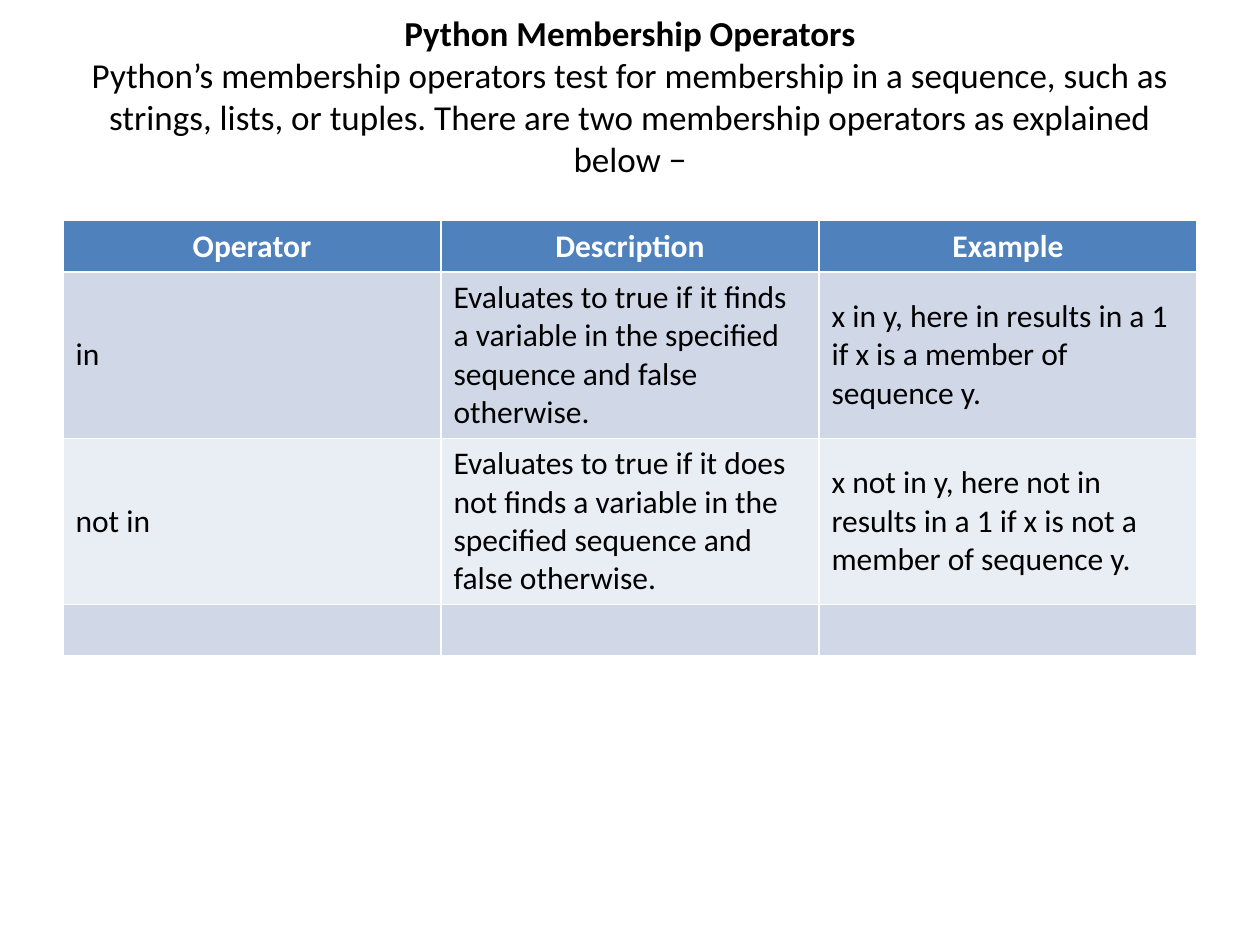
"""Build a slide that explains the Python membership operators in a table."""
import pptx
import pptx.dml.color
import pptx.enum.text
import pptx.util

Cm, Pt = pptx.util.Cm, pptx.util.Pt
RGBColor = pptx.dml.color.RGBColor
PP_ALIGN = pptx.enum.text.PP_ALIGN
MSO_ANCHOR = pptx.enum.text.MSO_ANCHOR

TITLE = "Python Membership Operators"
INTRO = (
    "Python’s membership operators test for membership in a sequence, such as "
    "strings, lists, or tuples. There are two membership operators as explained below −"
)
ROWS = [
    ("Operator", "Description", "Example"),
    (
        "in",
        "Evaluates to true if it finds a variable in the specified sequence and false otherwise.",
        "x in y, here in results in a 1 if x is a member of sequence y.",
    ),
    (
        "not in",
        "Evaluates to true if it does not finds a variable in the specified sequence "
        "and false otherwise.",
        "x not in y, here not in results in a 1 if x is not a member of sequence y.",
    ),
    ("", "", ""),
]

FONT = "Calibri"
BLACK = RGBColor(0x00, 0x00, 0x00)
WHITE = RGBColor(0xFF, 0xFF, 0xFF)
HEADER_BLUE = RGBColor(0x4F, 0x81, 0xBD)
BANDS = (RGBColor(0xE9, 0xED, 0xF4), RGBColor(0xD0, 0xD8, 0xE8))

LEFT, WIDTH = Cm(1.27), Cm(22.86)
ROW_HEIGHT = Cm(1.03)


def style(p, size, color, align):
    p.alignment = align
    p.font.name = FONT
    p.font.size = Pt(size)
    p.font.color.rgb = color


def add_title(s):
    sp = s.shapes.title
    sp.left, sp.top, sp.width, sp.height = LEFT, Cm(0.76), WIDTH, Cm(3.18)
    tf = sp.text_frame
    tf.word_wrap = True
    tf.auto_size = pptx.enum.text.MSO_AUTO_SIZE.NONE
    tf.vertical_anchor = MSO_ANCHOR.MIDDLE
    tf.margin_bottom = Cm(0.97)
    p = tf.paragraphs[0]
    style(p, 20, BLACK, PP_ALIGN.CENTER)
    r = p.add_run()
    r.text = TITLE
    r.font.bold = True
    p.add_line_break()
    p.add_run().text = INTRO


def add_operator_table(s):
    table = s.shapes.add_table(
        len(ROWS), len(ROWS[0]), LEFT, Cm(4.45), WIDTH, ROW_HEIGHT * len(ROWS)
    ).table
    for i, row in enumerate(ROWS):
        header = i == 0
        for j, text in enumerate(row):
            cell = table.cell(i, j)
            cell.text = text
            cell.vertical_anchor = MSO_ANCHOR.MIDDLE
            cell.fill.solid()
            cell.fill.fore_color.rgb = HEADER_BLUE if header else BANDS[i % 2]
            p = cell.text_frame.paragraphs[0]
            style(
                p, 18, WHITE if header else BLACK,
                PP_ALIGN.CENTER if header else PP_ALIGN.LEFT,
            )
            p.font.bold = header


def main():
    prs = pptx.Presentation()
    prs.slide_width, prs.slide_height = Cm(25.4), Cm(19.05)
    s = prs.slides.add_slide(prs.slide_layouts[5])
    add_title(s)
    add_operator_table(s)
    prs.save("out.pptx")


if __name__ == "__main__":
    main()
